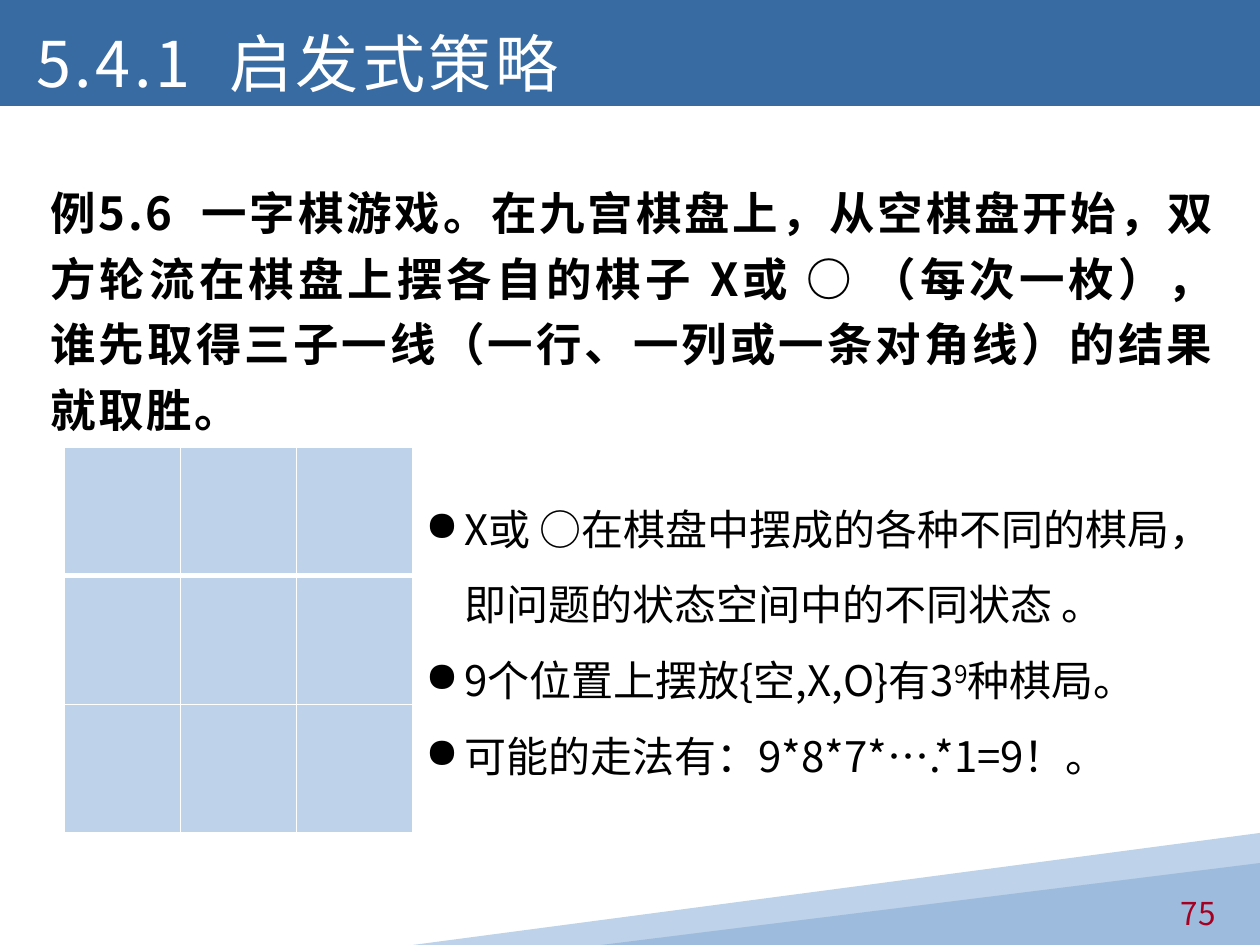
from lxml import etree
from pptx import Presentation
from pptx.dml.color import RGBColor
from pptx.enum.shapes import MSO_SHAPE
from pptx.enum.text import MSO_ANCHOR, PP_ALIGN
from pptx.oxml.ns import qn
from pptx.util import Pt

RECT = MSO_SHAPE.RECTANGLE
WEDGE = MSO_SHAPE.ISOSCELES_TRIANGLE
TOP, BOTTOM = MSO_ANCHOR.TOP, MSO_ANCHOR.BOTTOM
LEFT, RIGHT, FULL = PP_ALIGN.LEFT, PP_ALIGN.RIGHT, PP_ALIGN.JUSTIFY

SCALE = 914400 / 126  # EMU in one px
WIDE, HIGH = 1260, 945


class Theme:
    face = "Noto Sans CJK SC"
    bar, pale, mid = "386BA2", "BED2E9", "9DBCDD"
    white, black, red = "FFFFFF", "000000", "A50021"
    title, body, item, page = 36, 26, 24, 18


def emu(*sizes):
    return [round(size * SCALE) for size in sizes]


def paint(shape, color):
    shape.shadow.inherit = False
    shape.fill.solid()
    shape.fill.fore_color.rgb = RGBColor.from_string(color)
    shape.line.fill.background()


def add_run(para, text, size, color, bold=False, gap=0, base=0):
    """Add a run; gap is letter spacing in points, base the raise in percent."""
    run = para.add_run()
    run.text = text
    for name, value in dict(name=Theme.face, size=Pt(size), bold=bold).items():
        setattr(run.font, name, value)
    run.font.color.rgb = RGBColor.from_string(color)
    props = run.font._element
    etree.SubElement(props, qn("a:ea")).set("typeface", Theme.face)
    for name, value in dict(spc=gap * 100, baseline=base * 1000).items():
        if value:
            props.set(name, str(round(value)))


def set_frame(shape, anchor=TOP):
    frame = shape.text_frame
    for name, value in dict(word_wrap=True, vertical_anchor=anchor).items():
        setattr(frame, name, value)
    return frame


def add_text(slide, box, text, align, space, **style):
    frame = set_frame(slide.shapes.add_textbox(*emu(*box)))
    para = frame.paragraphs[0]
    for name, value in dict(alignment=align, line_spacing=space).items():
        setattr(para, name, value)
    add_run(para, text, **style)


def add_decor(slide, box):
    """Draw the two slanted bands in the bottom corner."""
    x, y, w, h = box
    build = slide.shapes.build_freeform(x + w, y, scale=SCALE)
    build.add_line_segments([(x + w, y + h - 8), (x + 435, y + h), (x, y + h)])
    paint(build.convert_to_shape(), Theme.pale)
    wedge = slide.shapes.add_shape(WEDGE, *emu(x + 188, y + 30, w - 188, h - 30))
    wedge.adjustments[0] = 1
    paint(wedge, Theme.mid)


def add_title(slide, box, text):
    bar = slide.shapes.add_shape(RECT, *emu(*box))
    paint(bar, Theme.bar)
    para = set_frame(bar, BOTTOM).paragraphs[0]
    para.alignment = LEFT
    para._p.get_or_add_pPr().set("indent", str(emu(24)[0]))
    add_run(para, text, Theme.title, Theme.white, gap=2)


def add_edge(cell, side, width):
    edge = etree.SubElement(cell._tc.get_or_add_tcPr(), qn("a:" + side))
    edge.set("w", str(Pt(width)))
    fill = etree.SubElement(edge, qn("a:solidFill"))
    etree.SubElement(fill, qn("a:srgbClr")).set("val", Theme.white)


def add_board(slide, box, count=3):
    """Place the empty game board, with a thick rule under its first row."""
    table = slide.shapes.add_table(count, count, *emu(*box)).table
    for name in ("first_row", "horz_banding"):
        setattr(table, name, False)
    for r in range(count):
        for c in range(count):
            cell = table.cell(r, c)
            widths = dict(lnL=1, lnR=1, lnT=3 if r == 1 else 1, lnB=3 if r == 0 else 1)
            for side, width in widths.items():
                add_edge(cell, side, width)
            cell.fill.solid()
            cell.fill.fore_color.rgb = RGBColor.from_string(Theme.pale)


def add_list(slide, box, items):
    """Place bullet items, each a list of (text, raise) parts."""
    frame = set_frame(slide.shapes.add_textbox(*emu(*box)))
    hang = emu(39)[0]
    for i, parts in enumerate(items):
        para = frame.add_paragraph() if i else frame.paragraphs[0]
        props = para._p.get_or_add_pPr()
        for name, value in dict(marL=hang, indent=-hang).items():
            props.set(name, str(value))
        etree.SubElement(props, qn("a:buChar")).set("char", "●")
        para.line_spacing = 1.5
        for text, base in parts:
            add_run(para, text, Theme.item, Theme.black, base=base)


def main():
    deck = Presentation()
    deck.slide_width, deck.slide_height = emu(WIDE, HIGH)
    slide = deck.slides.add_slide(deck.slide_layouts[6])
    add_decor(slide, (413, 833, 847, 112))
    add_text(slide, (955, 892, 273, 49), "75", RIGHT, 0.9,
             size=Theme.page, color=Theme.red)
    add_text(slide, (38, 168, 1191, 255),
             "例5.6  一字棋游戏。在九宫棋盘上，从空棋盘开始，双方轮流在棋盘上摆各自的棋子 "
             "X或 ○ （每次一枚），谁先取得三子一线（一行、一列或一条对角线）的结果就取胜。",
             FULL, 1.2, size=Theme.body, color=Theme.black, bold=True, gap=1.5)
    add_title(slide, (0, 0, WIDE, 106), "5.4.1  启发式策略")
    add_board(slide, (64, 447, 349, 386))
    add_list(slide, (413, 472, 815, 318), [
        [("X或 ○在棋盘中摆成的各种不同的棋局，即问题的状态空间中的不同状态 。", 0)],
        [("9个位置上摆放{空,X,O}有3", 0), ("9", 30), ("种棋局。", 0)],
        [("可能的走法有：9*8*7*….*1=9！。", 0)],
    ])
    deck.save("out.pptx")


if __name__ == "__main__":
    main()
